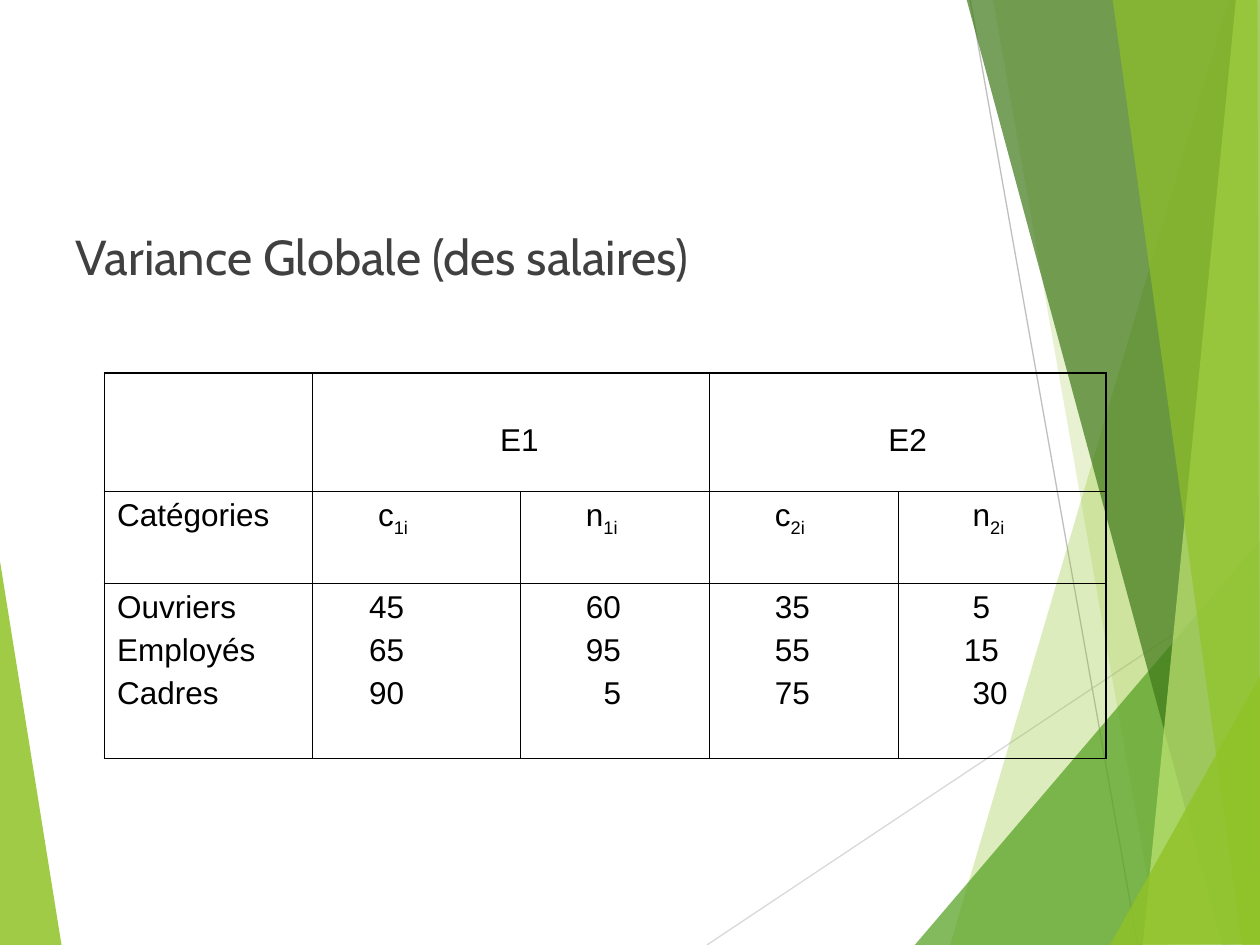
from lxml.etree import SubElement
from pptx import Presentation
from pptx.dml.color import RGBColor
from pptx.enum.shapes import MSO_CONNECTOR
from pptx.oxml import parse_xml
from pptx.oxml.ns import nsdecls, qn
from pptx.util import Inches, Pt

THEME = {
    "lime": "90C226", "green": "54A021", "forest": "3F7819", "pale": "C0E474",
    "title": {"name": "Cabin", "size": Pt(28), "color": "404040"},
    "body": {"name": "Arial", "size": Pt(18), "color": "000000"},
    "border": "000000", "outer": 1.08, "inner": 0.45, "space_before": Pt(4.5),
}

TITLE = "Variance Globale (des salaires)"
TITLE_BOX = (0.5, 1.75, 8.83, 4.95)

# Decor: outline points, colour name, opacity in percent
LEFT_FACET = ([(-0.01, 4.39), (0.49, 7.51), (-0.01, 7.5)], "lime", 85)
RIGHT_FACETS = [
    ([(9.75, 0), (7.54, 7.5), (10.02, 7.51), (10.01, 0.01)], "lime", 30),
    ([(7.88, -0.01), (9.2, 7.5), (10.01, 7.5), (10.01, -0.01)], "lime", 20),
    ([(7.26, 7.5), (10, 4.29), (10.01, 7.5)], "green", 72),
    ([(7.67, -0.01), (9.7, 7.5), (10.01, 7.49), (10.01, -0.01)], "forest", 70),
    ([(9.81, -0.01), (9.07, 7.5), (10.01, 7.5), (10, -0.01)], "pale", 70),
    ([(8.83, -0.01), (9.86, 7.5), (10, 7.5), (9.98, -0.01)], "lime", 65),
    ([(8.81, 7.5), (10.01, 5.35), (10.01, 7.49)], "lime", 80),
]
RAYS = [((5.61, 7.5), (10.01, 4.57), "D9D9D9"), ((7.7, 0), (9.03, 7.5), "BFBFBF")]

# Table: each cell is a list of (text, subscript, left indent in inches)
TABLE_AT = (0.83, 2.96)
COLUMNS = [1.65, 1.65, 1.5, 1.5, 1.65]
ROWS = [0.94, 0.73, 1.39]
GROUPS = {1: ("E1", 1.39), 3: ("E2", 1.32)}
GROUP_SPAN = 2
GROUP_MARGIN_TOP = 0.4
HEADINGS = [("Catégories", "", 0), ("c", "1i", 0.42), ("n", "1i", 0.42),
            ("c", "2i", 0.42), ("n", "2i", 0.49)]
VALUES = [
    [("Ouvriers", 0), ("Employés", 0), ("Cadres", 0)],
    [("45", 0.35), ("65", 0.35), ("90", 0.35)],
    [("60", 0.42), ("95", 0.42), ("5", 0.56)],
    [("35", 0.42), ("55", 0.42), ("75", 0.42)],
    [("5", 0.49), ("15", 0.42), ("30", 0.49)],
]


def style_font(font, style):
    for name in ("name", "size"):
        setattr(font, name, style[name])
    font.color.rgb = RGBColor.from_string(style["color"])


def add_facet(slide, points, color, opacity):
    corners = [(Inches(x), Inches(y)) for x, y in points]
    builder = slide.shapes.build_freeform(*corners[0], scale=1.0)
    builder.add_line_segments(corners[1:], close=True)
    shape = builder.convert_to_shape()
    shape.shadow.inherit = False
    shape.line.fill.background()
    shape.fill.solid()
    shape.fill.fore_color.rgb = RGBColor.from_string(THEME[color])
    color_element = shape.fill._xPr.find(qn("a:solidFill"))[0]
    SubElement(color_element, qn("a:alpha"), val=str(opacity * 1000))


def add_ray(slide, start, end, color):
    ends = [Inches(value) for value in (*start, *end)]
    ray = slide.shapes.add_connector(MSO_CONNECTOR.STRAIGHT, *ends)
    ray.line.color.rgb = RGBColor.from_string(color)
    ray.line.width = Pt(0.75)
    SubElement(ray._element.spPr, qn("a:effectLst"))


def write_cell(cell, lines):
    frame = cell.text_frame
    for index, (text, subscript, indent) in enumerate(lines):
        paragraph = frame.add_paragraph() if index else frame.paragraphs[0]
        if index:
            paragraph.space_before = THEME["space_before"]
        paragraph._p.get_or_add_pPr().set("marL", str(Inches(indent)))
        for part, baseline in ((text, 0), (subscript, -25)):
            if part:
                run = paragraph.add_run()
                run.text = part
                style_font(run.font, THEME["body"])
                if baseline:
                    run.font._element.set("baseline", str(baseline * 1000))


def set_borders(cell, row, column):
    last_column = column + (cell.span_width if cell.is_merge_origin else 1)
    is_outer = {"L": column == 0, "R": last_column == len(COLUMNS),
                "T": row == 0, "B": row == len(ROWS) - 1}
    properties = cell._tc.get_or_add_tcPr()
    for index, (side, outer) in enumerate(is_outer.items()):
        width = Pt(THEME["outer"] if outer else THEME["inner"])
        properties.insert(index, parse_xml(
            f'<a:ln{side} {nsdecls("a")} w="{width}"><a:solidFill>'
            f'<a:srgbClr val="{THEME["border"]}"/></a:solidFill></a:ln{side}>'))


def add_salary_table(slide):
    size = (sum(COLUMNS), sum(ROWS))
    table = slide.shapes.add_table(
        len(ROWS), len(COLUMNS), *map(Inches, TABLE_AT + size)).table
    table.first_row = table.horz_banding = False
    for column, width in zip(table.columns, COLUMNS):
        column.width = Inches(width)
    for row, height in zip(table.rows, ROWS):
        row.height = Inches(height)

    # Group headings span two columns
    for column, (label, indent) in GROUPS.items():
        cell = table.cell(0, column)
        cell.merge(table.cell(0, column + GROUP_SPAN - 1))
        cell.margin_top = Inches(GROUP_MARGIN_TOP)
        write_cell(cell, [(label, "", indent)])

    for column, (heading, values) in enumerate(zip(HEADINGS, VALUES)):
        write_cell(table.cell(1, column), [heading])
        write_cell(table.cell(2, column), [(text, "", indent) for text, indent in values])

    for row in range(len(ROWS)):
        for column in range(len(COLUMNS)):
            cell = table.cell(row, column)
            cell.fill.background()
            set_borders(cell, row, column)


def main():
    presentation = Presentation()
    presentation.slide_width, presentation.slide_height = Inches(10), Inches(7.5)
    slide = presentation.slides.add_slide(presentation.slide_layouts[6])

    # Background decor
    add_facet(slide, *LEFT_FACET)
    for ray in RAYS:
        add_ray(slide, *ray)
    for facet in RIGHT_FACETS:
        add_facet(slide, *facet)

    # Title
    frame = slide.shapes.add_textbox(*map(Inches, TITLE_BOX)).text_frame
    frame.word_wrap = True
    run = frame.paragraphs[0].add_run()
    run.text = TITLE
    style_font(run.font, THEME["title"])

    # Salary table
    add_salary_table(slide)
    presentation.save("out.pptx")


if __name__ == "__main__":
    main()
